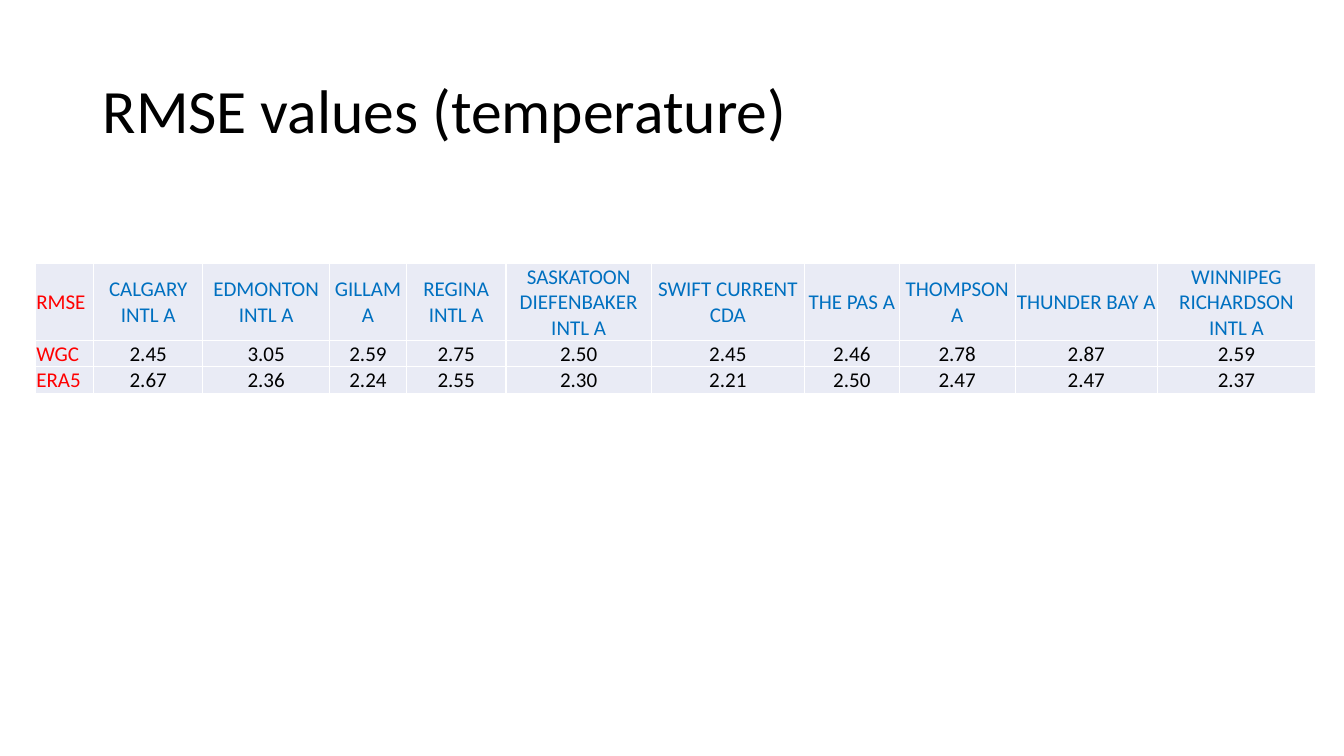
from lxml import etree
from pptx import Presentation
from pptx.dml.color import RGBColor
from pptx.enum.text import MSO_ANCHOR, PP_ALIGN
from pptx.oxml.ns import qn
from pptx.util import Inches, Pt

MIDDLE = MSO_ANCHOR.MIDDLE
LEFT, CENTER = PP_ALIGN.LEFT, PP_ALIGN.CENTER
BLACK = RGBColor(0x00, 0x00, 0x00)
WHITE = RGBColor(0xFF, 0xFF, 0xFF)
RED = RGBColor(0xFF, 0x00, 0x00)
BLUE = RGBColor(0x00, 0x70, 0xC0)
PALE = RGBColor(0xE9, 0xEB, 0xF5)

WIDTHS = [0.58, 1.08, 1.26, 0.76, 0.99, 1.44, 1.52, 0.94, 1.15, 1.41, 1.57]
HEIGHTS = [0.77, 0.26, 0.26]
ROWS = [
    ["RMSE", "CALGARY\nINTL A", "EDMONTON\nINTL A", "GILLAM\nA",
     "REGINA\nINTL A", "SASKATOON\nDIEFENBAKER\nINTL A",
     "SWIFT CURRENT CDA", "THE PAS A", "THOMPSON A", "THUNDER BAY A",
     "WINNIPEG\nRICHARDSON\nINTL A"],
    ["WGC", "2.45", "3.05", "2.59", "2.75", "2.50",
     "2.45", "2.46", "2.78", "2.87", "2.59"],
    ["ERA5", "2.67", "2.36", "2.24", "2.55", "2.30",
     "2.21", "2.50", "2.47", "2.47", "2.37"],
]


def write(frame, text, size=15, color=BLACK, align=LEFT, spacing=1.0):
    frame.text = text
    for para in frame.paragraphs:
        para.alignment = align
        para.line_spacing = spacing
        font = para.runs[0].font
        font.name, font.size = "Calibri", Pt(size)
        font.color.rgb = color


def edge(cell):
    props = cell._tc.get_or_add_tcPr()
    for side in ("a:lnL", "a:lnR", "a:lnT", "a:lnB"):
        line = etree.SubElement(props, qn(side), w=str(Pt(1)))
        fill = etree.SubElement(line, qn("a:solidFill"))
        etree.SubElement(fill, qn("a:srgbClr"), val=str(WHITE))


deck = Presentation()
deck.slide_width, deck.slide_height = Inches(13.33), Inches(7.5)
slide = deck.slides.add_slide(deck.slide_layouts[6])

# Title
title = slide.shapes.add_textbox(
    Inches(0.92), Inches(0.4), Inches(11.5), Inches(1.45)).text_frame
title.word_wrap = True
title.vertical_anchor = MIDDLE
write(title, "RMSE values (temperature)", size=44, spacing=0.9)

# Table grid
table = slide.shapes.add_table(
    len(ROWS), len(WIDTHS), Inches(0.35), Inches(2.61),
    Inches(sum(WIDTHS)), Inches(sum(HEIGHTS))).table
table.first_row = table.horz_banding = False
for column, width in zip(table.columns, WIDTHS):
    column.width = Inches(width)
for row, height in zip(table.rows, HEIGHTS):
    row.height = Inches(height)

# Cells: red row names, blue stations, black values
for r, row in enumerate(ROWS):
    for c, text in enumerate(row):
        cell = table.cell(r, c)
        edge(cell)
        cell.fill.solid()
        cell.fill.fore_color.rgb = PALE
        cell.vertical_anchor = MIDDLE
        cell.margin_left = cell.margin_right = cell.margin_top = Inches(0.01)
        cell.margin_bottom = 0
        color = RED if c == 0 else BLUE if r == 0 else BLACK
        write(cell.text_frame, text, color=color,
              align=CENTER if c else LEFT)

deck.save("out.pptx")
